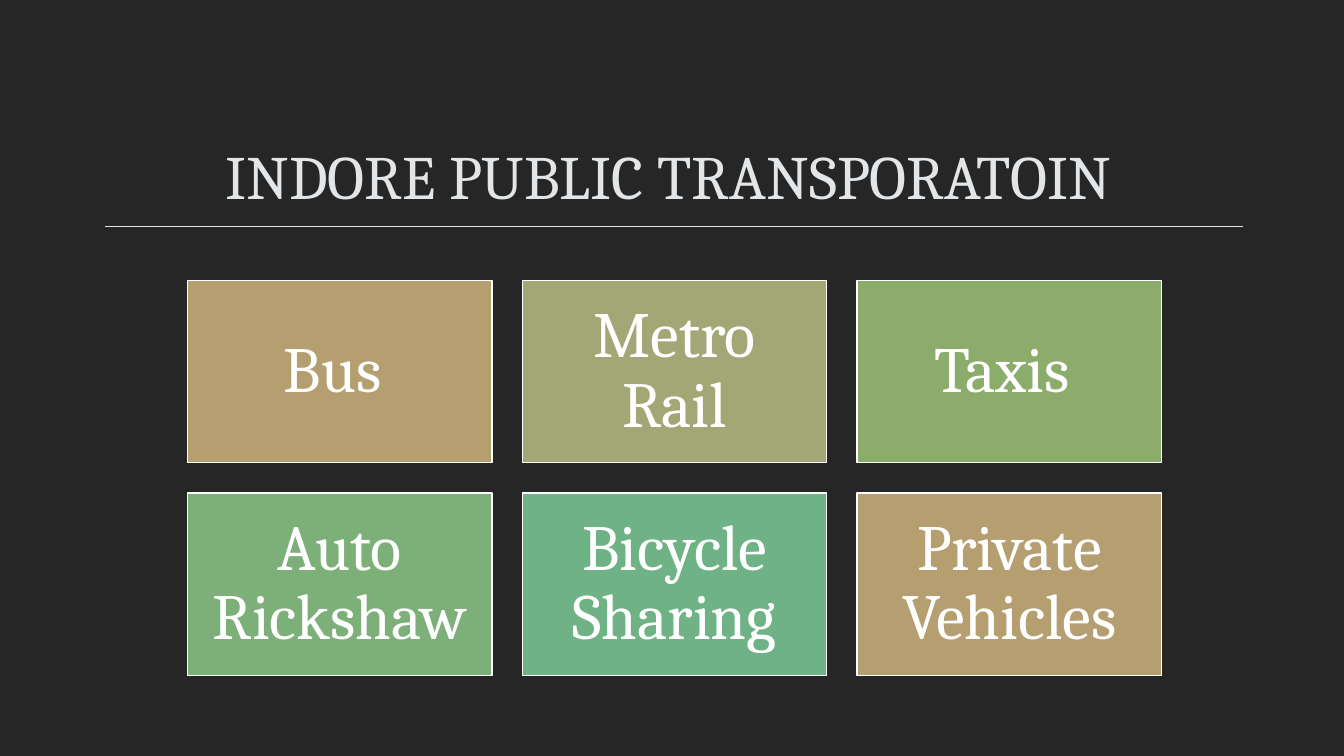
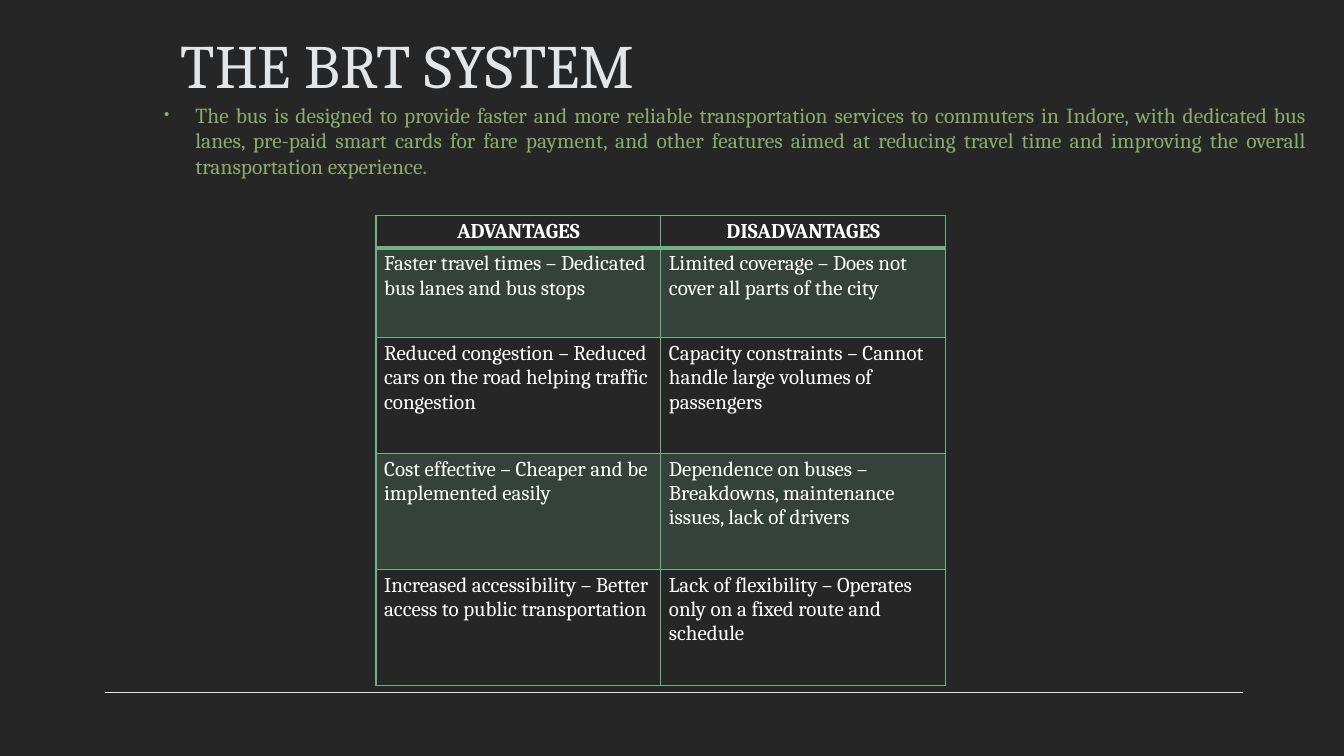
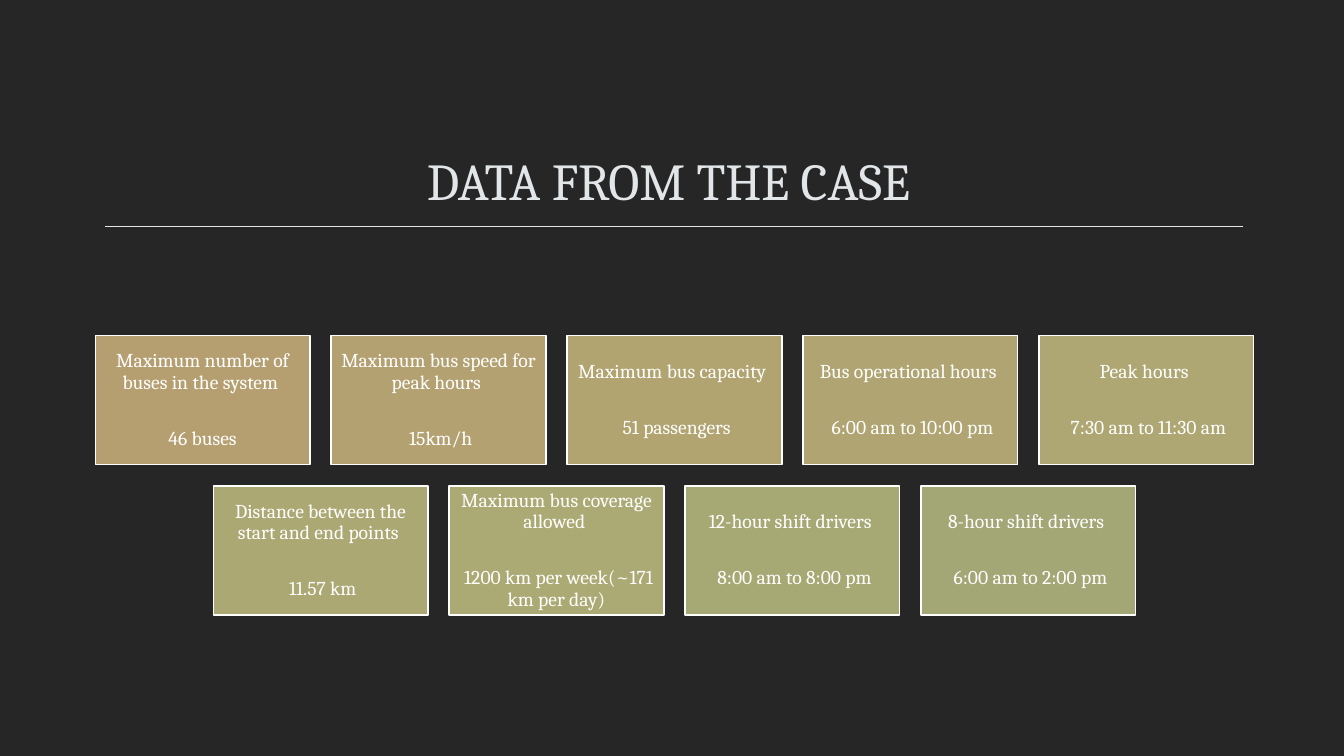
import pptx
import pptx.dml.color
import pptx.enum.shapes
import pptx.enum.text
import pptx.oxml
import pptx.oxml.ns
import pptx.util
from dataclasses import dataclass

Inches, Pt = pptx.util.Inches, pptx.util.Pt
ALIGN = pptx.enum.text.PP_ALIGN
ANCHOR = pptx.enum.text.MSO_ANCHOR


@dataclass(frozen=True)
class Theme:
    width: float = 13.33
    height: float = 7.5
    font: str = "Cambria"
    background: str = "262626"
    title: str = "E2E6E8"
    white: str = "FFFFFF"
    intro: str = "8BAC6A"
    table: str = "6EB285"
    title_size: float = 44
    title_size_small: float = 37
    mode_size: float = 46
    fact_size: float = 14
    intro_size: float = 15.3
    table_size: float = 15
    rule_weight: float = 0.85
    border: float = 1
    header_border: float = 2.5
    band_opacity: int = 20  # percent


THEME = Theme()

# Content
TITLE_BOX = (0.93, 0.96, 11.4, 1.19)
BRT_TITLE_BOX = (1.03, 0.06, 6.03, 0.99)
RULE_LEFT, RULE_RIGHT = 1.04, 12.33
RULE_UNDER_TITLE, RULE_AT_FOOT = 2.25, 6.87
TILE_CENTER = 6.69

# Each tile: its paragraphs, then its fill
MODE_ROWS = [
    [(["Bus "], "B59F70"), (["Metro Rail"], "A3A776"), (["Taxis "], "8BAC6A")],
    [(["Auto Rickshaw"], "7DAF79"), (["Bicycle Sharing"], "6EB285"),
     (["Private Vehicles"], "B59F70")],
]
MODE_GRID = dict(top=2.78, width=3.02, height=1.81, gap=0.3, inset=0.19,
                 size=THEME.mode_size)

FACT_ROWS = [
    [(["Maximum number of buses in the system ", "46 buses"], "B59F70"),
     (["Maximum bus speed for peak hours ", " 15km/h"], "B3A171"),
     (["Maximum bus capacity ", " 51 passengers"], "B2A471"),
     (["Bus operational hours ", " 6:00 am to 10:00 pm"], "B0A572"),
     (["Peak hours ", " 7:30 am to 11:30 am"], "AEA773")],
    [(["Distance between the start and end points ", " 11.57 km"], "ACA874"),
     (["Maximum bus coverage allowed ", " 1200 km per week(~171 km per day)"], "ABAA74"),
     (["12-hour shift drivers ", " 8:00 am to 8:00 pm"], "A7A975"),
     (["8-hour shift drivers ", " 6:00 am to 2:00 pm"], "A3A776")],
]
FACT_GRID = dict(top=3.33, width=2.13, height=1.28, gap=0.21, inset=0.06,
                 size=THEME.fact_size, space_after=25)

INTRO_BOX = (1.53, 0.96, 11.53, 0.86)
INTRO = ("The bus is designed to provide faster and more reliable transportation services to "
         "commuters in Indore, with dedicated bus lanes, pre-paid smart cards for fare payment, "
         "and other features aimed at reducing travel time and improving the overall "
         "transportation experience.")

TABLE_BOX = (3.73, 2.14, 5.65, 4.66)
TABLE_ROW_HEIGHTS = [0.32, 0.89, 1.15, 1.15, 1.15]
TABLE_ROWS = [
    ("ADVANTAGES", "DISADVANTAGES"),
    ("Faster travel times – Dedicated bus lanes and bus stops",
     "Limited coverage – Does not cover all parts of the city"),
    ("Reduced congestion – Reduced cars on the road helping traffic congestion",
     "Capacity constraints – Cannot handle large volumes of passengers"),
    ("Cost effective – Cheaper and be implemented easily",
     "Dependence on buses – Breakdowns, maintenance issues, lack of drivers"),
    ("Increased accessibility – Better access to public transportation",
     "Lack of flexibility – Operates only on a fixed route and schedule"),
]


# Helpers
def set_all(target, **values):
    for name, value in values.items():
        setattr(target, name, value)


def rgb(color):
    return pptx.dml.color.RGBColor.from_string(color)


def box(values):
    return [Inches(value) for value in values]


def xml(text):
    return pptx.oxml.parse_xml(text.replace(
        " ", f' {pptx.oxml.ns.nsdecls("a")} ', 1))


def paint(shape, fill, line):
    shape.fill.solid()
    shape.fill.fore_color.rgb = rgb(fill)
    shape.line.color.rgb = rgb(line)
    shape.line.width = Pt(THEME.border)
    shape.shadow.inherit = False


def write(frame, texts, size, color, bold=False, **paragraph_format):
    """Fill a text frame with one formatted paragraph per text."""
    for index, text in enumerate(texts):
        paragraph = frame.add_paragraph() if index else frame.paragraphs[0]
        set_all(paragraph, **paragraph_format)
        run = paragraph.add_run()
        run.text = text
        set_all(run.font, name=THEME.font, size=Pt(size), bold=bold)
        run.font.color.rgb = rgb(color)


def set_margins(target, across, down):
    set_all(target, margin_left=Inches(across), margin_right=Inches(across),
            margin_top=Inches(down), margin_bottom=Inches(down))


# Parts of a slide
def add_titled_slide(presentation, title, title_box, size, rule_y, line_spacing=1.0):
    slide = presentation.slides.add_slide(presentation.slide_layouts[5])
    shape = slide.shapes.title
    left, top, width, height = box(title_box)
    set_all(shape, left=left, top=top, width=width, height=height)
    frame = shape.text_frame
    set_all(frame, vertical_anchor=ANCHOR.BOTTOM, word_wrap=True,
            auto_size=pptx.enum.text.MSO_AUTO_SIZE.NONE)
    write(frame, [title], size, THEME.title, alignment=ALIGN.CENTER,
          line_spacing=line_spacing)

    rule = slide.shapes.add_connector(
        pptx.enum.shapes.MSO_CONNECTOR.STRAIGHT,
        *box((RULE_RIGHT, rule_y, RULE_LEFT, rule_y)))
    rule.line.color.rgb = rgb(THEME.title)
    rule.line.width = Pt(THEME.rule_weight)
    rule._element.spPr.append(xml("<a:effectLst />"))
    return slide


def add_tiles(slide, rows, top, width, height, gap, inset, size, space_after=0):
    """Stack rows of equal tiles, each row centred on the same axis."""
    for row_index, row in enumerate(rows):
        left = TILE_CENTER - (len(row) * (width + gap) - gap) / 2
        for column, (texts, fill) in enumerate(row):
            tile = slide.shapes.add_shape(
                pptx.enum.shapes.MSO_SHAPE.RECTANGLE,
                *box((left + column * (width + gap),
                      top + row_index * (height + gap), width, height)))
            paint(tile, fill, THEME.white)
            frame = tile.text_frame
            set_margins(frame, inset, inset)
            set_all(frame, word_wrap=True, vertical_anchor=ANCHOR.MIDDLE)
            write(frame, texts, size, THEME.white, alignment=ALIGN.CENTER,
                  line_spacing=0.9, space_after=Pt(space_after))


def add_intro(slide):
    frame = slide.shapes.add_textbox(*box(INTRO_BOX)).text_frame
    frame.word_wrap = True
    write(frame, [INTRO], THEME.intro_size, THEME.intro, alignment=ALIGN.JUSTIFY)
    properties = frame.paragraphs[0]._p.get_or_add_pPr()
    properties.set("marL", str(Inches(0.31)))
    properties.set("indent", str(Inches(-0.31)))
    properties.append(xml('<a:buSzPct val="70000"/>'))
    properties.append(xml('<a:buFont typeface="Arial"/>'))
    properties.append(xml('<a:buChar char="•"/>'))


def format_cell(cell, row):
    # Bands: odd rows get a translucent fill
    if row % 2:
        cell.fill.solid()
        cell.fill.fore_color.rgb = rgb(THEME.table)
        color = cell._tc.tcPr.find(".//" + pptx.oxml.ns.qn("a:srgbClr"))
        color.append(xml(f'<a:alpha val="{THEME.band_opacity * 1000}"/>'))
    else:
        cell.fill.background()
    # Borders: a heavier line between header and body
    heavy_side = {0: "B", 1: "T"}.get(row)
    for index, side in enumerate("LRTB"):
        weight = THEME.header_border if side == heavy_side else THEME.border
        cell._tc.tcPr.insert(index, xml(
            f'<a:ln{side} w="{Pt(weight)}"><a:solidFill><a:srgbClr val="{THEME.table}"/>'
            f'</a:solidFill></a:ln{side}>'))


def add_comparison(slide):
    table = slide.shapes.add_table(
        len(TABLE_ROWS), len(TABLE_ROWS[0]), *box(TABLE_BOX)).table
    table.horz_banding = False
    for row, (texts, height) in enumerate(zip(TABLE_ROWS, TABLE_ROW_HEIGHTS)):
        table.rows[row].height = Inches(height)
        header = row == 0
        for column, text in enumerate(texts):
            cell = table.cell(row, column)
            set_margins(cell, 0.08, 0.04)
            write(cell.text_frame, [text], THEME.table_size, THEME.white, bold=header,
                  alignment=ALIGN.CENTER if header else ALIGN.LEFT)
            format_cell(cell, row)


def main():
    presentation = pptx.Presentation()
    set_all(presentation, slide_width=Inches(THEME.width), slide_height=Inches(THEME.height))
    background = presentation.slide_master.background.fill
    background.solid()
    background.fore_color.rgb = rgb(THEME.background)

    modes = add_titled_slide(presentation, "INDORE PUBLIC TRANSPORATOIN", TITLE_BOX,
                             THEME.title_size, RULE_UNDER_TITLE)
    add_tiles(modes, MODE_ROWS, **MODE_GRID)

    brt = add_titled_slide(presentation, "THE BRT SYSTEM", BRT_TITLE_BOX,
                           THEME.title_size, RULE_AT_FOOT)
    add_comparison(brt)
    add_intro(brt)

    facts = add_titled_slide(presentation, "DATA FROM THE CASE", TITLE_BOX,
                             THEME.title_size_small, RULE_UNDER_TITLE, line_spacing=0.9)
    add_tiles(facts, FACT_ROWS, **FACT_GRID)

    presentation.save("out.pptx")


if __name__ == "__main__":
    main()
